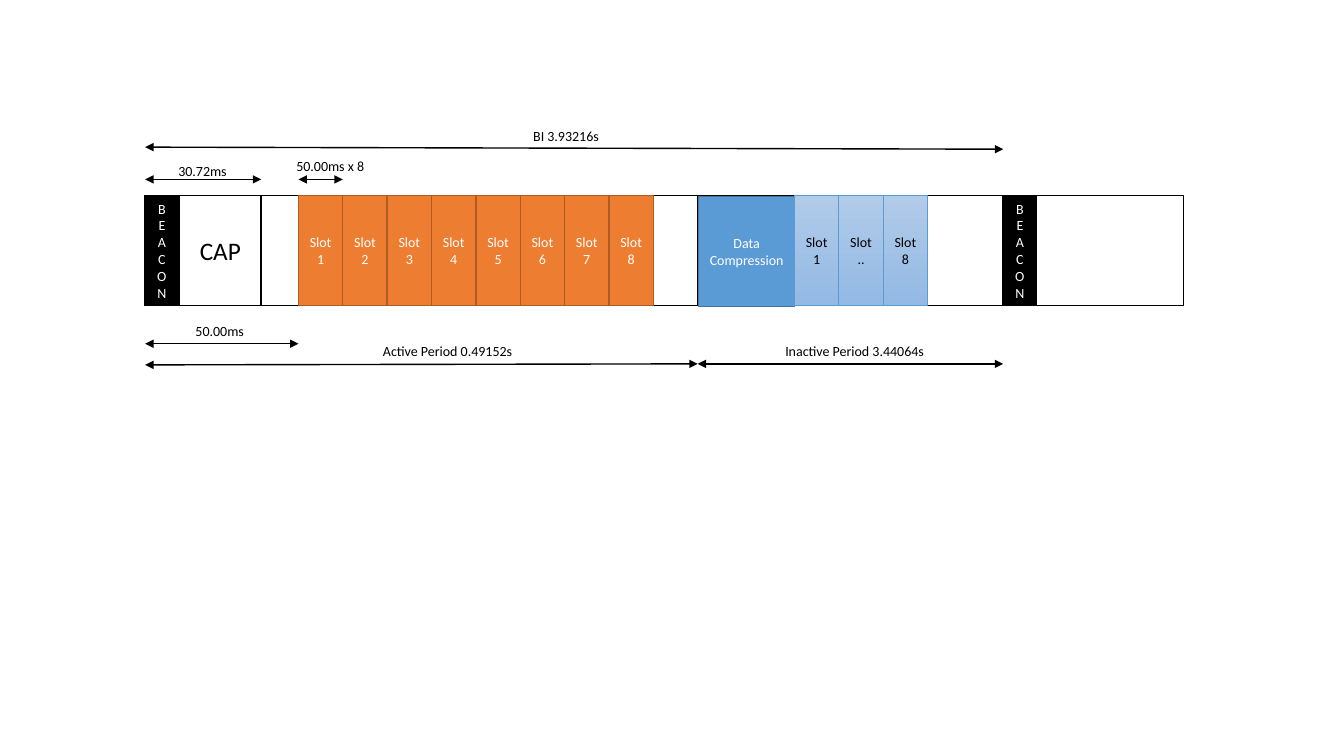
from pptx import Presentation
from pptx.dml.color import RGBColor
from pptx.enum.shapes import MSO_CONNECTOR, MSO_SHAPE
from pptx.enum.text import MSO_ANCHOR, MSO_AUTO_SIZE, PP_ALIGN
from pptx.oxml.ns import qn
from pptx.util import Inches, Pt
from lxml import etree

RECTANGLE = MSO_SHAPE.RECTANGLE
STRAIGHT = MSO_CONNECTOR.STRAIGHT
CENTER, LEFT = PP_ALIGN.CENTER, PP_ALIGN.LEFT
MIDDLE, TOP = MSO_ANCHOR.MIDDLE, MSO_ANCHOR.TOP

COLORS = {name: RGBColor.from_string(value) for name, value in {
    "white": "FFFFFF", "black": "000000",
    "orange": "ED7D31", "orange_edge": "AF5C24",
    "blue": "5B9BD5", "blue_edge": "43739E",
    "pale_top": "B1CBE9", "pale_bottom": "93B9E4",
}.items()}

# Column edges of the timeline, in inches
FRAME_START, CAP_START, CAP_END = 1.44, 1.78, 2.59
SLOTS_START, INACTIVE_START = 2.96, 6.92
COMPRESSION_END, NEXT_FRAME, TIMELINE_END = 7.88, 9.95, 11.74
SLOT_WIDTH, BEACON_WIDTH = 0.44, 0.33
# Rows of the timeline, in inches
BAND_TOP, BAND_HEIGHT, LABEL_HEIGHT = 1.94, 1.09, 0.27
BAND_BOTTOM = BAND_TOP + BAND_HEIGHT


def add_block(left, width, text="", fill=None, edge="black", color="white", size=10,
              top=BAND_TOP, height=BAND_HEIGHT, weight=1, label=False):
    """Add a timeline block, or a bare one-line label, with formatted text."""
    frame = Inches(left), Inches(top), Inches(width), Inches(height)
    if label:
        box = page.shapes.add_textbox(*frame)
    else:
        box = page.shapes.add_shape(RECTANGLE, *frame)
        box.shadow.inherit = False
        box.line.color.rgb = COLORS[edge]
        box.line.width = Pt(weight)
        if fill == "pale":
            box.fill.gradient()
            box.fill.gradient_angle = 270
            for stop, name in zip(box.fill.gradient_stops, ("pale_top", "pale_bottom")):
                stop.color.rgb = COLORS[name]
        else:
            box.fill.solid()
            box.fill.fore_color.rgb = COLORS[fill]
    body = box.text_frame
    body.word_wrap = not label
    body.vertical_anchor = TOP if label else MIDDLE
    if label:
        body.auto_size = MSO_AUTO_SIZE.SHAPE_TO_FIT_TEXT
    body.text = text
    for para in body.paragraphs:
        para.alignment = LEFT if label else CENTER
        for span in para.runs:
            span.font.name = "Calibri"
            span.font.size = Pt(size)
            span.font.color.rgb = COLORS[color]
    return box


def add_line(start, end, arrows=True):
    """Add a black line between two points, with arrowheads at both ends if asked."""
    line = page.shapes.add_connector(STRAIGHT, *map(Inches, start + end))
    line.line.color.rgb = COLORS["black"]
    line.line.width = Pt(1)
    if arrows:
        outline = line.line._get_or_add_ln()
        for tag in ("a:headEnd", "a:tailEnd"):
            etree.SubElement(outline, qn(tag), type="triangle")
    etree.SubElement(line._element.spPr, qn("a:effectLst"))


deck = Presentation()
deck.slide_width, deck.slide_height = Inches(13.33), Inches(7.5)
page = deck.slides.add_slide(deck.slide_layouts[6])

# Band with beacons and contention period
add_block(FRAME_START, TIMELINE_END - FRAME_START, fill="white")
for left in (FRAME_START, NEXT_FRAME):
    add_block(left, BEACON_WIDTH, "BEACON", fill="black")
add_block(CAP_START, CAP_END - CAP_START, "CAP", fill="white", color="black", size=18)

# Slots of the active period
for index in range(8):
    add_block(SLOTS_START + index * SLOT_WIDTH, SLOT_WIDTH, f"Slot {index + 1}",
              fill="orange", edge="orange_edge")

# Compression and slots of the inactive period
add_line((INACTIVE_START, BAND_TOP), (INACTIVE_START, BAND_BOTTOM), arrows=False)
add_block(INACTIVE_START + 0.01, 0.95, "Data\nCompression", fill="blue",
          edge="blue_edge", top=BAND_TOP + 0.01)
for index, mark in enumerate(("1", "..", "8")):
    add_block(COMPRESSION_END + index * SLOT_WIDTH, SLOT_WIDTH, f"Slot {mark}",
              fill="pale", edge="blue", color="black", weight=0.5)

# Durations: text, label left, top and width, then arrow ends
DURATIONS = [
    ("BI 3.93216s", 5.19, 1.22, 0.87, (FRAME_START, 1.46), (NEXT_FRAME, 1.48)),
    ("30.72ms", 1.67, 1.56, 0.69, (FRAME_START, 1.78), (CAP_END, 1.78)),
    ("50.00ms x 8", 2.84, 1.51, 0.89, (SLOTS_START, 1.78), (SLOTS_START + SLOT_WIDTH, 1.78)),
    ("50.00ms", 1.84, 3.15, 0.69, (FRAME_START, 3.41), (SLOTS_START, 3.41)),
    ("Active Period 0.49152s", 3.7, 3.35, 1.51, (FRAME_START, 3.62), (INACTIVE_START, 3.61)),
    ("Inactive Period 3.44064s", 7.69, 3.35, 1.6, (INACTIVE_START, 3.61), (NEXT_FRAME, 3.61)),
]
for text, left, top, width, start, end in DURATIONS:
    add_line(start, end)
    add_block(left, width, text, color="black", top=top, height=LABEL_HEIGHT, label=True)

deck.save("out.pptx")
